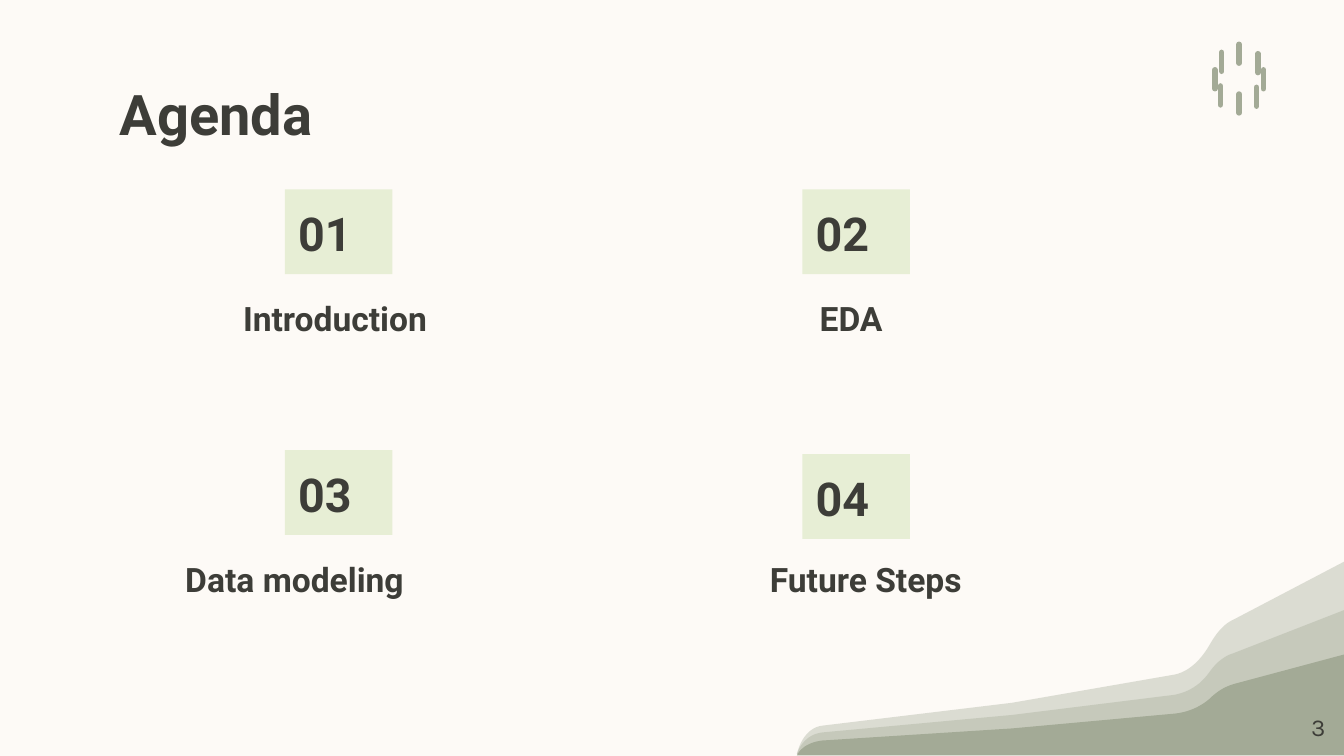
"""Build an agenda slide with four numbered topics and layered hills."""
from lxml.etree import SubElement
from pptx import Presentation
from pptx.dml.color import RGBColor
from pptx.enum.shapes import MSO_CONNECTOR, MSO_SHAPE
from pptx.enum.text import MSO_ANCHOR, PP_ALIGN
from pptx.oxml.ns import qn
from pptx.util import Inches, Pt

COLORS = {"paper": "FDFAF6", "ink": "3D3D38", "tile": "E7EED5", "sage": "A3AA96"}
WIDTH = 10
HEIGHT = WIDTH * 9 / 16

TOPICS = [
    ("01", (2.12, 1.41), "Introduction", (1.71, 2.12, 2.52)),
    ("02", (5.97, 1.41), "EDA", (6, 2.12, 2.52)),
    ("03", (2.12, 3.35), "Data modeling", (1.28, 4.06, 4.51)),
    ("04", (5.97, 3.38), "Future Steps", (5.63, 4.06, 2.52)),
]
TILE_SIZE = (0.8, 0.63)
LABEL_HEIGHT = 0.8

RIDGE_X = [10, 9.18, 9.11, 9.05, 9, 8.93, 8.84, 8.74, 7.53, 6.12, 6.03, 5.96, 5.93]
HILLS = [
    ([4.18, 4.61, 4.64, 4.71, 4.8, 4.92, 5, 5.02, 5.23, 5.4, 5.41, 5.49, 5.61], 37),
    ([4.54, 4.86, 4.88, 4.93, 5, 5.1, 5.15, 5.17, 5.32, 5.45, 5.46, 5.52, 5.61], 37),
    ([4.87, 5.09, 5.11, 5.15, 5.2, 5.26, 5.3, 5.31, 5.42, 5.51, 5.52, 5.56, 5.62], 100),
]
CURVE_STARTS = (1, 4, 9)
CURVE_STEPS = 12

DASH_LENGTH = 0.14
DASHES = [(9.22, 0.33), (9.22, 0.7), (9.4, 0.52), (9.04, 0.52),
          (9.08, 0.64), (9.36, 0.4), (9.09, 0.39), (9.35, 0.65)]


def color(name):
    return RGBColor.from_string(COLORS[name])


def paint(shape, name, opacity=100):
    shape.shadow.inherit = False
    shape.fill.solid()
    shape.fill.fore_color.rgb = color(name)
    shape.line.fill.background()
    if opacity < 100:
        tint = shape.fill._xPr.find(qn("a:solidFill"))[0]
        SubElement(tint, qn("a:alpha"), val=str(opacity * 1000))


def write(page, text, left, top, width, height, size, font="Roboto", bold=True,
          align=PP_ALIGN.LEFT, anchor=MSO_ANCHOR.TOP, fill=None):
    area = [Inches(value) for value in (left, top, width, height)]
    if fill:
        box = page.shapes.add_shape(MSO_SHAPE.RECTANGLE, *area)
        paint(box, fill)
    else:
        box = page.shapes.add_textbox(*area)
    frame = box.text_frame
    frame.word_wrap = True
    frame.vertical_anchor = anchor
    frame.margin_left = frame.margin_right = Inches(0.1)
    frame.margin_top = frame.margin_bottom = Inches(0.1)
    paragraph = frame.paragraphs[0]
    paragraph.alignment = align
    span = paragraph.add_run()
    span.text = text
    span.font.name = font
    span.font.size = Pt(size)
    span.font.bold = bold
    span.font.color.rgb = color("ink")


def curve_point(controls, t):
    weights = ((1 - t) ** 3, 3 * t * (1 - t) ** 2, 3 * t ** 2 * (1 - t), t ** 3)
    return tuple(sum(w * point[axis] for w, point in zip(weights, controls))
                 for axis in (0, 1))


def ridge_outline(heights):
    points = list(zip(RIDGE_X, heights))
    outline, index = [points[0]], 0
    while index < len(points) - 1:
        if index in CURVE_STARTS:
            controls = points[index:index + 4]
            outline += [curve_point(controls, step / CURVE_STEPS)
                        for step in range(1, CURVE_STEPS + 1)]
            index += 3
        else:
            index += 1
            outline.append(points[index])
    return outline + [(WIDTH, heights[-1])]


def add_hill(page, heights, opacity):
    start, *others = [(Inches(x), Inches(y)) for x, y in ridge_outline(heights)]
    builder = page.shapes.build_freeform(*start)
    builder.add_line_segments(others, close=True)
    paint(builder.convert_to_shape(), "sage", opacity)


def add_dash(page, x, top):
    dash = page.shapes.add_connector(MSO_CONNECTOR.STRAIGHT, Inches(x), Inches(top),
                                     Inches(x), Inches(top + DASH_LENGTH))
    dash.line.color.rgb = color("sage")
    dash.line.width = Pt(3)
    dash.line._get_or_add_ln().set("cap", "rnd")
    SubElement(dash._element.spPr, qn("a:effectLst"))


def main():
    deck = Presentation()
    deck.slide_width, deck.slide_height = Inches(WIDTH), Inches(HEIGHT)
    page = deck.slides.add_slide(deck.slide_layouts[6])
    page.background.fill.solid()
    page.background.fill.fore_color.rgb = color("paper")

    for heights, opacity in HILLS:
        add_hill(page, heights, opacity)
    write(page, "Agenda", 0.79, 0.49, 8.43, 0.63, size=30)
    for number, tile_corner, label, (left, top, width) in TOPICS:
        write(page, number, *tile_corner, *TILE_SIZE, size=25,
              anchor=MSO_ANCHOR.BOTTOM, fill="tile")
        write(page, label, left, top, width, LABEL_HEIGHT, size=18)
    for x, top in DASHES:
        add_dash(page, x, top)
    write(page, "3", 9.36, 5.19, 0.6, 0.43, size=13, font="Karla", bold=False,
          align=PP_ALIGN.RIGHT, anchor=MSO_ANCHOR.MIDDLE)
    deck.save("out.pptx")


if __name__ == "__main__":
    main()
